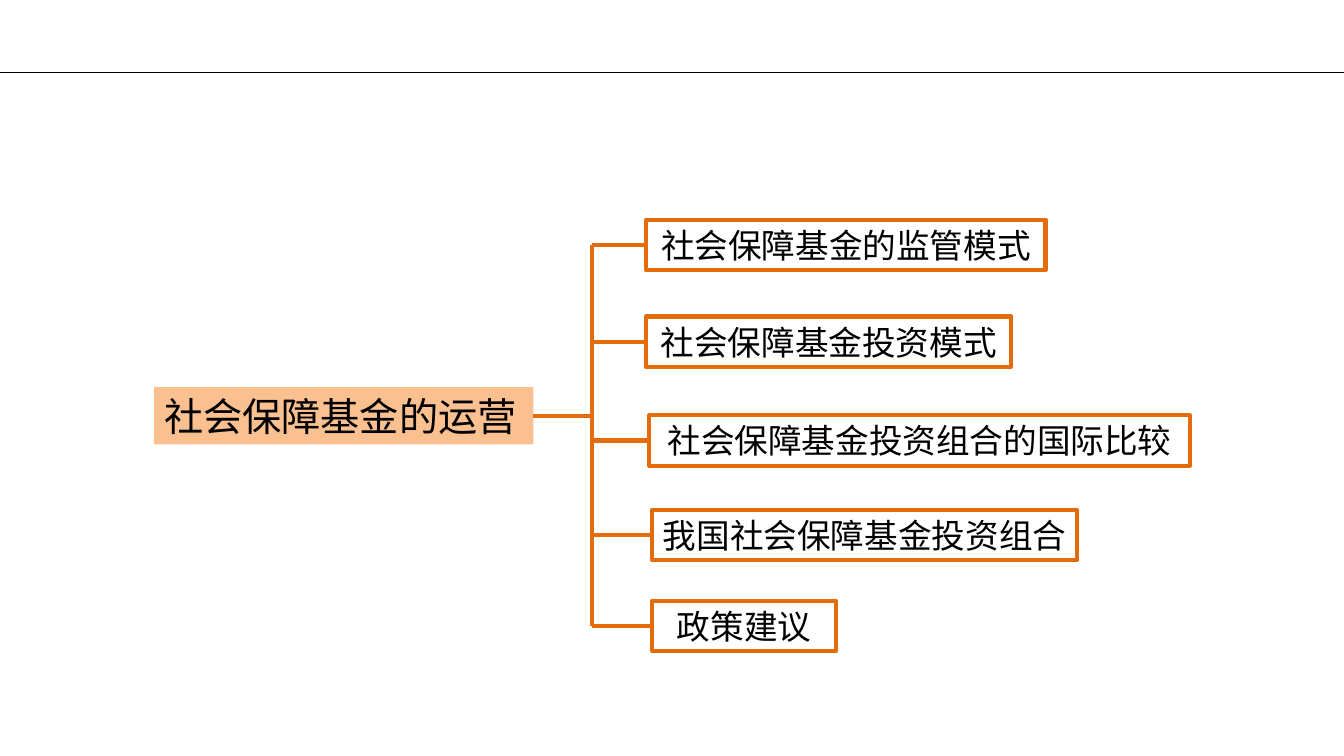
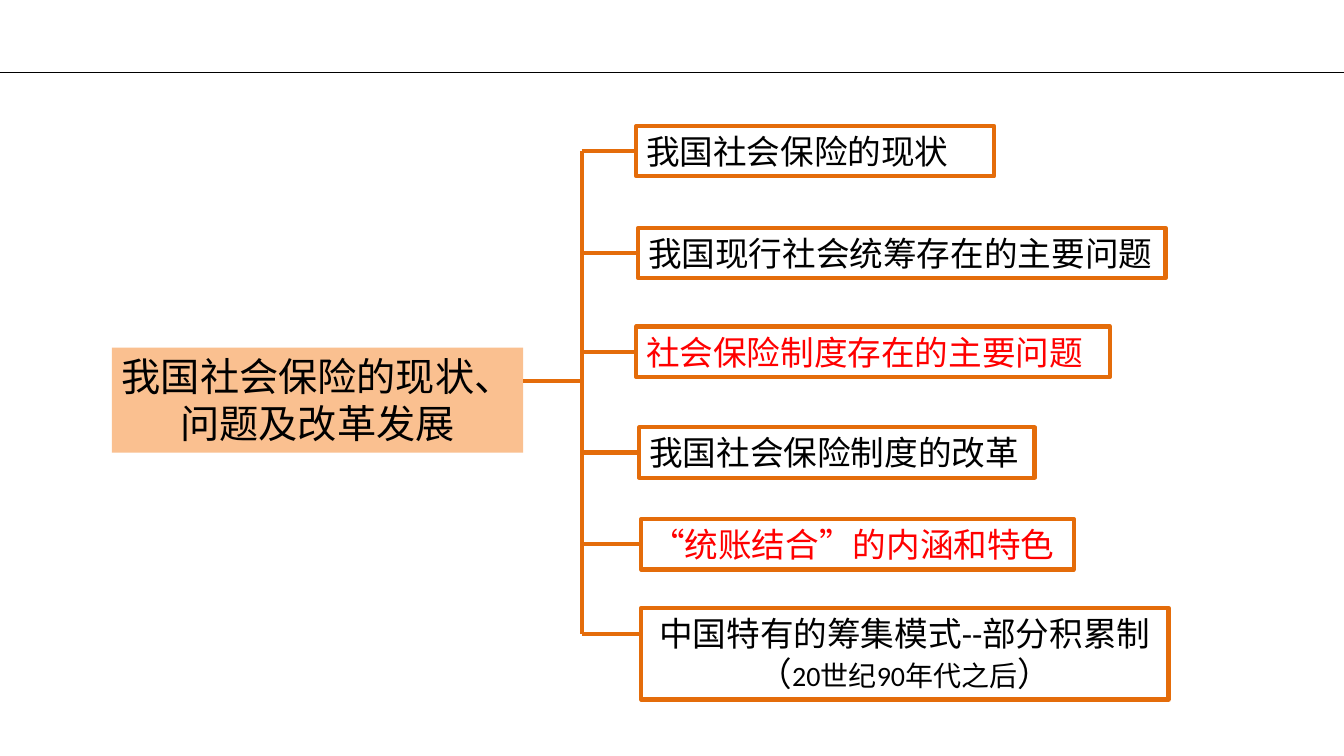
from lxml import etree
from pptx import Presentation, util as u
from pptx.dml.color import RGBColor
from pptx.enum import shapes, text
from pptx.oxml import ns

PX = 9144
BLACK = RGBColor(0x00, 0x00, 0x00)
RED = RGBColor(0xFF, 0x00, 0x00)
ORANGE = RGBColor(0xE4, 0x6C, 0x0A)
PEACH = RGBColor(0xFA, 0xC0, 0x90)
LEFT = text.PP_ALIGN.LEFT
CENTER = text.PP_ALIGN.CENTER
LEFT_SIDE, RIGHT_SIDE = 1, 3


def px(length):
    return u.Emu(round(length * PX))


def write_text(frame, paragraphs, *, size=24, color=BLACK, align=LEFT, font="Calibri"):
    for index, runs in enumerate(paragraphs):
        paragraph = frame.paragraphs[0] if index == 0 else frame.add_paragraph()
        paragraph.alignment = align
        for content, run_size in runs:
            run = paragraph.add_run()
            run.text = content
            run.font.name = font
            run.font.size = u.Pt(run_size or size)
            run.font.color.rgb = color


class Deck:
    width, height = 1333, 750
    header_y = 72
    branch_weight = 3

    def __init__(self):
        self.presentation = Presentation()
        self.presentation.slide_width = px(self.width)
        self.presentation.slide_height = px(self.height)
        self.slide = None

    def new_slide(self):
        self.slide = self.presentation.slides.add_slide(self.presentation.slide_layouts[6])
        self.line((0, self.header_y), (self.width, self.header_y), color=BLACK, weight=1)

    def line(self, start, end, color=ORANGE, weight=branch_weight):
        connector = self.slide.shapes.add_connector(
            shapes.MSO_CONNECTOR.STRAIGHT, *map(px, start + end))
        connector.line.color.rgb = color
        connector.line.width = u.Pt(weight)
        etree.SubElement(connector._element.spPr, ns.qn("a:effectLst"))
        return connector

    def box(self, bounds, paragraphs, fill=None, outline=None, **style):
        shape = self.slide.shapes.add_textbox(*map(px, bounds))
        if fill is not None:
            shape.fill.solid()
            shape.fill.fore_color.rgb = fill
        if outline is not None:
            shape.line.color.rgb = outline
            shape.line.width = u.Pt(self.branch_weight)
        frame = shape.text_frame
        frame.word_wrap = True
        frame.auto_size = text.MSO_AUTO_SIZE.SHAPE_TO_FIT_TEXT
        write_text(frame, paragraphs, **style)
        return shape

    def topic(self, bounds, title, trunk_x, level=None, align=LEFT):
        x, y, width, height = bounds
        shape = self.box(bounds, [[(title, None)]], fill=PEACH, size=28, align=align)
        stem_y = level or y + height / 2
        stem = self.line((x + width, stem_y), (trunk_x, stem_y))
        if level is None:
            stem.begin_connect(shape, RIGHT_SIDE)

    def branch(self, bounds, paragraphs, trunk_x, level=None, **style):
        x, y, _, height = bounds
        branch_y = level or y + height / 2
        shape = self.box(bounds, paragraphs, outline=ORANGE, **style)
        twig = self.line((trunk_x, branch_y), (x, branch_y))
        if level is None:
            twig.end_connect(shape, LEFT_SIDE)
        return branch_y

    def trunk(self, x, levels):
        self.line((x, min(levels)), (x, max(levels)))


def operation_slide(deck):
    trunk_x = 587
    branches = [
        ((641, 218, 396, 50), "社会保障基金的监管模式"),
        ((641, 314, 362, 50), "社会保障基金投资模式"),
        ((644, 412, 536, 50), "社会保障基金投资组合的国际比较"),
        ((647, 506, 421, 50), "我国社会保障基金投资组合"),
        ((647, 596, 182, 50), "政策建议"),
    ]
    deck.new_slide()
    deck.topic((153, 384, 376, 57), "社会保障基金的运营", trunk_x)
    deck.trunk(trunk_x, [
        deck.branch(bounds, [[(title, None)]], trunk_x, align=CENTER)
        for bounds, title in branches])


def reform_slide(deck):
    trunk_x = 577
    branches = [
        ((631, 125, 355, 50), "我国社会保险的现状", BLACK),
        ((633, 226, 523, 50), "我国现行社会统筹存在的主要问题", BLACK),
        ((631, 324, 470, 50), "社会保险制度存在的主要问题", RED),
        ((634, 424, 392, 50), "我国社会保险制度的改革", BLACK),
        ((636, 515, 429, 50), "“统账结合”的内涵和特色", RED),
    ]
    funding_model = [
        [("中国特有的筹集模式--部分积累制", None)],
        [("（", None), ("20世纪90年代之后", 20), ("）", None)],
    ]
    deck.new_slide()
    deck.topic((111, 345, 408, 104), "我国社会保险的现状、问题及改革发展",
               trunk_x, level=378, align=CENTER)
    levels = [deck.branch(bounds, [[(title, None)]], trunk_x, color=color)
              for bounds, title, color in branches]
    levels.append(deck.branch((636, 603, 523, 91), funding_model, trunk_x,
                              level=629, align=CENTER))
    deck.trunk(trunk_x, levels)


def main():
    deck = Deck()
    operation_slide(deck)
    reform_slide(deck)
    deck.presentation.save("out.pptx")


if __name__ == "__main__":
    main()
